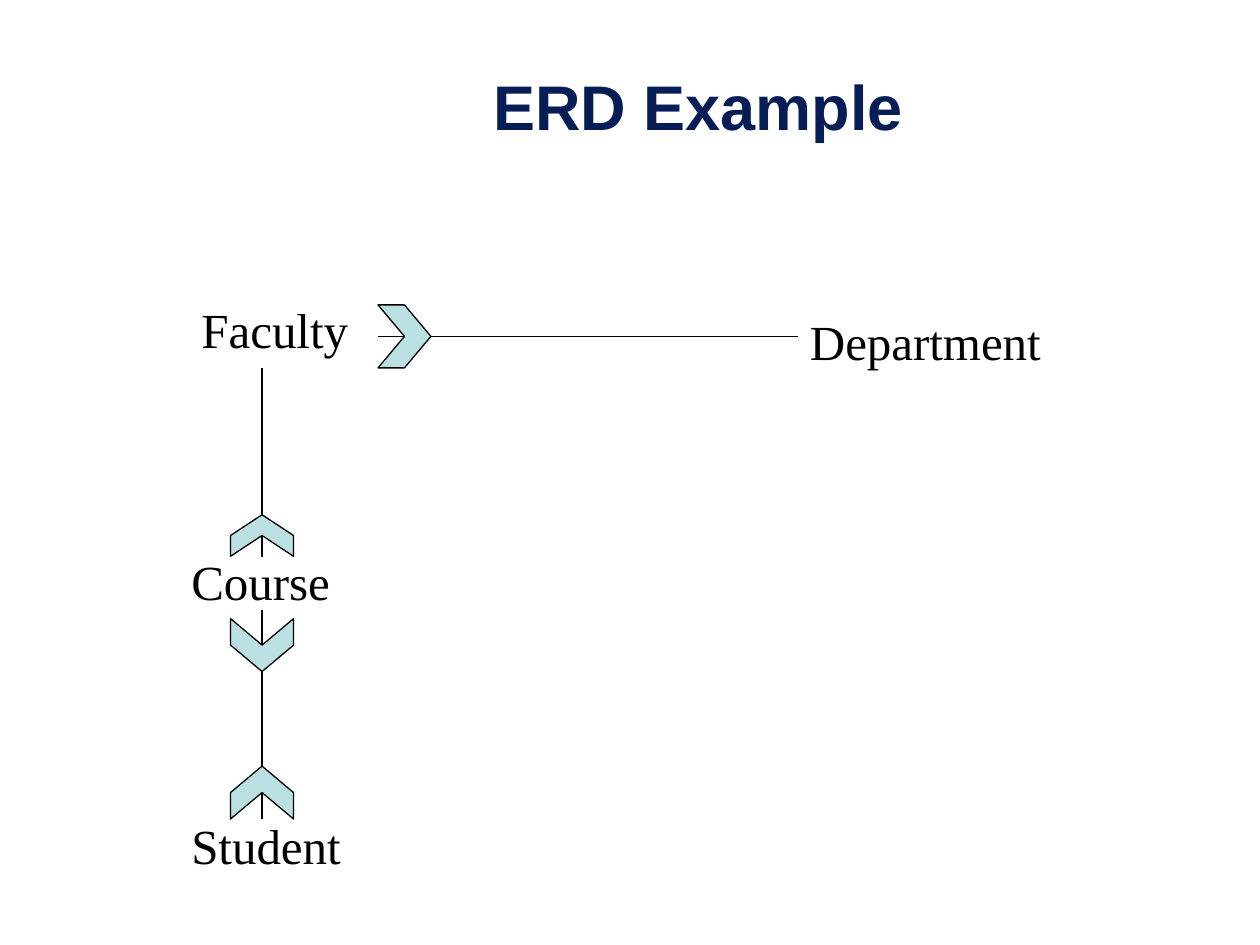
import pptx
import pptx.util
from pptx.dml.color import RGBColor
from pptx.enum.shapes import MSO_CONNECTOR, MSO_SHAPE
from pptx.enum.text import MSO_ANCHOR, MSO_AUTO_SIZE, PP_ALIGN
from pptx.oxml.ns import qn
from lxml import etree

Inches, Pt = pptx.util.Inches, pptx.util.Pt

NAVY = RGBColor(0x06, 0x1D, 0x55)
BLACK = RGBColor(0, 0, 0)
PALE_TEAL = RGBColor(0xBB, 0xE0, 0xE3)

# Content
TITLE = "ERD Example"
TITLE_FONT = {"name": "Arial", "size": Pt(36), "bold": True}
ENTITY_FONT = {"name": "Times New Roman", "size": Pt(28), "bold": False}
ENTITY_HEIGHT = 0.57
ENTITIES = [  # name, left, top, width
    ("Department", 6.33, 2.42, 2.5),
    ("Student", 1.42, 6.42, 1.67),
    ("Course", 1.42, 4.33, 1.67),
    ("Faculty", 1.5, 2.33, 1.58),
]
RELATIONS = [  # x1, y1, x2, y2
    (3, 2.67, 6.33, 2.67),
    (2.08, 4.84, 2.08, 6.5),
    (2.08, 4.42, 2.08, 2.92),
]
CHEVRON_SPAN = 0.5
CHEVRONS = [  # centre x, centre y, length, rotation
    (3.21, 2.67, 0.42, 0),
    (2.08, 4.25, 0.33, 270),
    (2.08, 5.12, 0.42, 90),
    (2.08, 6.29, 0.42, 270),
]


def format_font(font, values, color):
    for key, value in values.items():
        setattr(font, key, value)
    font.color.rgb = color


def place(shape, *box):
    for key, value in zip(("left", "top", "width", "height"), box):
        setattr(shape, key, Inches(value))


def outline(shape):
    shape.line.color.rgb = BLACK
    shape.line.width = Pt(0.75)


prs = pptx.Presentation()
prs.slide_width, prs.slide_height = Inches(10), Inches(7.5)
s = prs.slides.add_slide(prs.slide_layouts[5])

# Title
title = s.shapes.title
place(title, 1.58, 0.25, 7.92, 1.17)
tf = title.text_frame
tf.text = TITLE
tf.vertical_anchor = MSO_ANCHOR.MIDDLE
p = tf.paragraphs[0]
p.alignment = PP_ALIGN.CENTER
format_font(p.runs[0].font, TITLE_FONT, NAVY)

# Entity names
for name, left, top, width in ENTITIES:
    box = [Inches(v) for v in (left, top, width, ENTITY_HEIGHT)]
    tf = s.shapes.add_textbox(*box).text_frame
    tf.word_wrap = True
    tf.auto_size = MSO_AUTO_SIZE.SHAPE_TO_FIT_TEXT
    tf.text = name
    format_font(tf.paragraphs[0].runs[0].font, ENTITY_FONT, BLACK)

# Relationship lines
for ends in RELATIONS:
    line = s.shapes.add_connector(MSO_CONNECTOR.STRAIGHT, *map(Inches, ends))
    outline(line)
    etree.SubElement(line._element.spPr, qn("a:effectLst"))

# Chevrons on the "many" ends
for x, y, length, rotation in CHEVRONS:
    box = (x - length / 2, y - CHEVRON_SPAN / 2, length, CHEVRON_SPAN)
    sp = s.shapes.add_shape(MSO_SHAPE.CHEVRON, *map(Inches, box))
    sp.rotation = rotation
    sp.shadow.inherit = False
    sp.fill.solid()
    sp.fill.fore_color.rgb = PALE_TEAL
    outline(sp)

prs.save("out.pptx")
